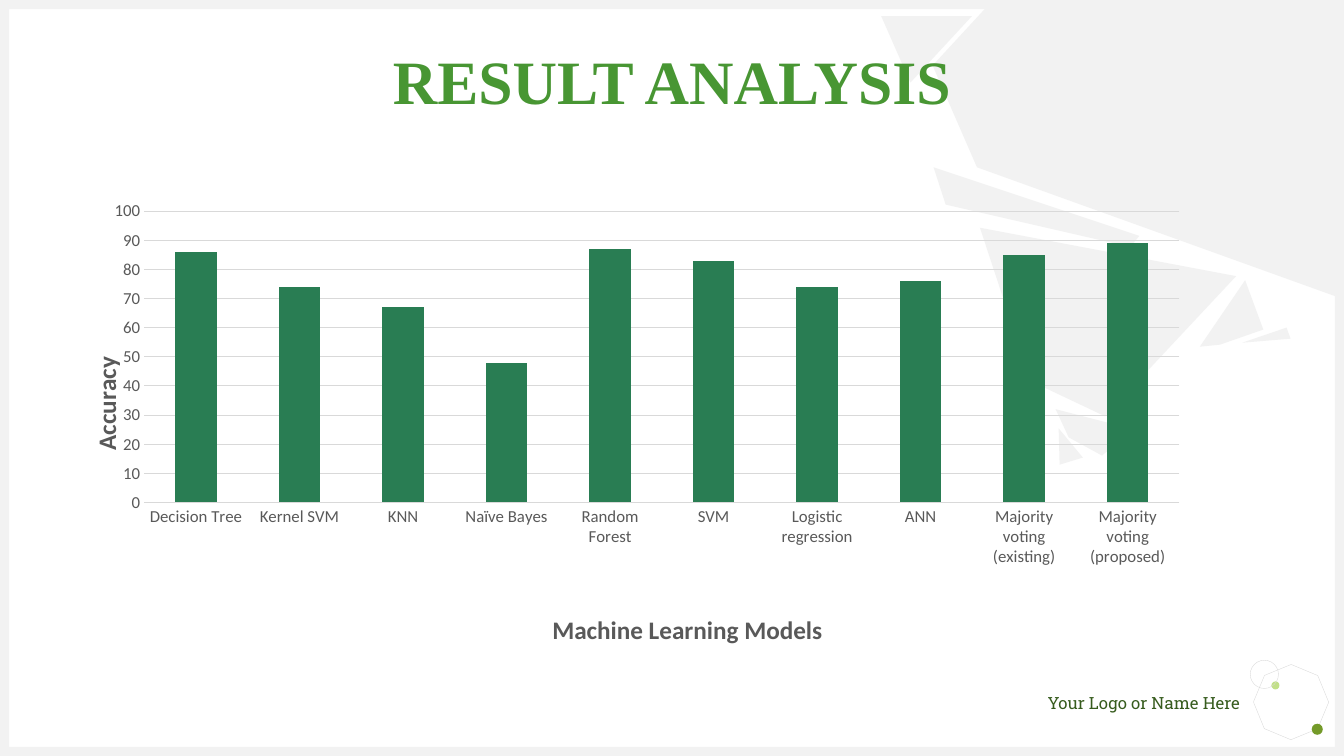
"""Build the result analysis slide: accuracy of machine learning models as columns."""
from dataclasses import dataclass

from lxml.etree import SubElement
from pptx import Presentation
from pptx.chart.data import CategoryChartData
from pptx.dml.color import RGBColor as RGB
from pptx.enum.chart import XL_CHART_TYPE as CT, XL_TICK_MARK as Tick
from pptx.enum.shapes import MSO_SHAPE as Shape
from pptx.enum.text import MSO_ANCHOR as Anchor, MSO_AUTO_SIZE as Auto, PP_ALIGN as Align
from pptx.oxml.ns import qn
from pptx.util import Inches as In, Pt


@dataclass
class Theme:
    """Colours, fonts and type sizes."""
    title: str = "489633"
    bar: str = "297D53"
    axis: str = "595959"
    rule: str = "D9D9D9"
    pale: str = "F2F2F2"
    lime: str = "C2E088"
    olive: str = "749A29"
    footer: str = "375C1E"
    title_font: str = "Times New Roman"
    chart_font: str = "Calibri"
    footer_font: str = "Roboto Slab"
    title_size: int = 44
    axis_title_size: int = 18
    label_size: int = 12


def style(sp, fill=None, line=None):
    """Set fill and hairline, and drop the shadow."""
    sp.shadow.inherit = False
    for part, color in ((sp.fill, fill), (sp.line.fill, line)):
        if color:
            part.solid()
            part.fore_color.rgb = RGB.from_string(color)
        else:
            part.background()
    if line:
        sp.line.width = Pt(0.25)


def set_font(f, name, size, color, bold=False):
    """Apply name, size, colour and weight to a font."""
    f.name, f.size, f.bold = name, Pt(size), bold
    f.color.rgb = RGB.from_string(color)


t = Theme()
W, H, EDGE = 13.33, 7.5, 0.09
prs = Presentation()
prs.slide_width, prs.slide_height = In(W), In(H)
s = prs.slides.add_slide(prs.slide_layouts[5])

shards = [
    [(8.74, 0.16), (9.64, 0.16), (9.03, 0.82)],
    [(9.85, 0), (W, 0), (W, 2.97), (9.69, 1.66), (9.25, 0.65)],
    [(9.72, 2.26), (12.26, 2.74), (10.96, 4.13), (10.22, 3.78)],
    [(10.5, 4.25), (10.74, 4.54), (10.51, 4.61)],
    [(10.47, 4.06), (11.24, 4.26), (10.93, 4.52), (10.6, 4.34)],
    [(9.26, 1.66), (11.3, 2.34), (11.21, 2.45), (9.38, 2.03)],
    [(12.76, 3.25), (12.8, 3.36), (12.32, 3.4)],
    [(12.35, 2.78), (12.53, 3.27), (12.1, 3.42), (11.9, 3.44)],
]
ornaments = [
    (Shape.OCTAGON, 12.46, 6.62, 0.69, 0.69, 22.7, None, t.rule),
    (Shape.OVAL, 12.61, 6.76, 0.08, 0.08, 0, t.lime, None),
    (Shape.OVAL, 13.01, 7.18, 0.11, 0.11, 0, t.olive, None),
    (Shape.OVAL, 12.4, 6.55, 0.28, 0.28, 0, None, t.rule),
]
frame = [(0, H - EDGE, W, EDGE), (0, 0, W, EDGE), (0, 0, EDGE, H), (W - EDGE, 0, EDGE, H)]
ornaments += [(Shape.RECTANGLE, *box, 0, t.pale, None) for box in frame]

for kind, x, y, w, h, turn, fill, line in ornaments:
    sp = s.shapes.add_shape(kind, In(x), In(y), In(w), In(h))
    sp.rotation = turn
    style(sp, fill, line)

for shard in shards:
    start, *rest = [(In(x), In(y)) for x, y in shard]
    fb = s.shapes.build_freeform(*start)
    fb.add_line_segments(rest, close=True)
    style(fb.convert_to_shape(), t.pale)

footer = s.shapes.add_textbox(In(9.55), In(6.87), In(2.75), In(0.2))
tf = footer.text_frame
tf.word_wrap = True
tf.margin_left = tf.margin_right = tf.margin_top = tf.margin_bottom = 0
p = tf.paragraphs[0]
p.text, p.alignment = "Your Logo or Name Here", Align.RIGHT
set_font(p.font, t.footer_font, t.label_size, t.footer)

accuracy = {
    "Decision Tree": 86, "Kernel SVM": 74, "KNN": 67, "Naïve Bayes": 48,
    "Random Forest": 87, "SVM": 83, "Logistic regression": 74, "ANN": 76,
    "Majority voting (existing)": 85, "Majority voting (proposed)": 89,
}
data = CategoryChartData()
data.categories = list(accuracy)
data.add_series("Series 1", list(accuracy.values()))
chart = s.shapes.add_chart(CT.COLUMN_CLUSTERED, In(0.5), In(1.94), In(11.21), In(5.18), data).chart
chart.has_legend = chart.has_title = False
set_font(chart.font, t.chart_font, t.label_size, t.axis)
plot = chart.plots[0]
plot.gap_width, plot.vary_by_categories = 150, False
fill = plot.series[0].format.fill
fill.solid()
fill.fore_color.rgb = RGB.from_string(t.bar)

cat, val = chart.category_axis, chart.value_axis
val.minimum_scale, val.maximum_scale, val.major_unit = 0, 100, 10
grid = val.major_gridlines.format.line
grid.width = Pt(0.75)
grid.color.rgb = RGB.from_string(t.rule)

layouts = [(chart.plots[0]._element.getparent(), {"x": 0.083, "y": 0.03, "w": 0.916, "h": 0.558})]
for axis, text, x, y in ((cat, "Machine Learning Models", 0.44, 0.79), (val, "Accuracy", 0.03, 0.3)):
    axis.major_tick_mark = axis.minor_tick_mark = Tick.NONE
    axis.format.line.fill.background()
    set_font(axis.tick_labels.font, t.chart_font, t.label_size, t.axis)
    p = axis.axis_title.text_frame.paragraphs[0]
    p.text = text
    set_font(p.font, t.chart_font, t.axis_title_size, t.axis, True)
    layouts.append((axis.axis_title._element, {"x": x, "y": y}))

for owner, place in layouts:
    for old in owner.findall(qn("c:layout")):
        owner.remove(old)
    layout = SubElement(owner, qn("c:layout"))
    owner.insert(1 if owner.find(qn("c:tx")) is not None else 0, layout)
    manual = SubElement(layout, qn("c:manualLayout"))
    if "w" in place:
        SubElement(manual, qn("c:layoutTarget")).set("val", "inner")
    for key in "xy":
        SubElement(manual, qn(f"c:{key}Mode")).set("val", "edge")
    for key, share in place.items():
        SubElement(manual, qn(f"c:{key}")).set("val", str(share))

title = s.shapes.title
title.left, title.top, title.width, title.height = In(3.07), In(0.38), In(7.19), In(0.84)
tf = title.text_frame
tf.word_wrap, tf.auto_size, tf.vertical_anchor = True, Auto.SHAPE_TO_FIT_TEXT, Anchor.TOP
p = tf.paragraphs[0]
p.text, p.alignment = "RESULT ANALYSIS", Align.CENTER
set_font(p.font, t.title_font, t.title_size, t.title, True)
title._element.getparent().append(title._element)

prs.save("out.pptx")
